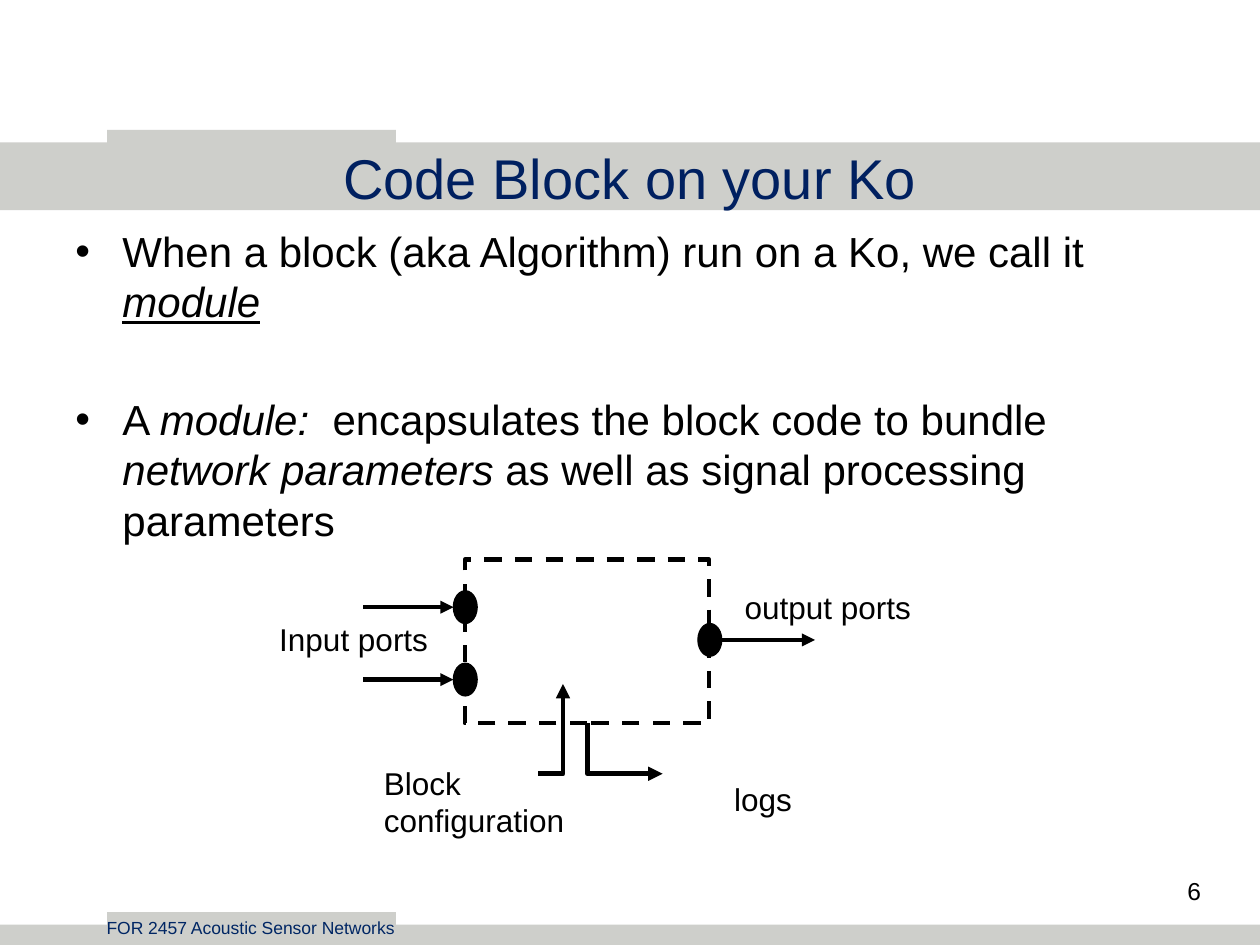
from lxml import etree
from pptx import Presentation
from pptx import util as u
from pptx.dml import color
from pptx.enum import dml, shapes, text
from pptx.oxml import ns


def paint(part, code):
    if hasattr(part, "solid"):
        part.solid()
        part = part.fore_color
    part.rgb = color.RGBColor.from_string(code)


def assign(part, values):
    for name, value in values.items():
        setattr(part, name, value)


def child(parent, tag, **attrs):
    return etree.SubElement(parent, ns.qn(tag), attrs)


class Sketch:
    font = "Arial"
    black = "000000"
    white = "FFFFFF"
    gray = "CECFCB"
    navy = "002060"
    foot = "002664"

    def __init__(self, slide):
        self.slide = slide

    def shape(self, kind, spot, fill, line=None, width=0.75):
        item = self.slide.shapes.add_shape(kind, *map(u.Cm, spot))
        item.shadow.inherit = False
        paint(item.fill, fill)
        if line:
            paint(item.line.color, line)
            item.line.width = u.Pt(width)
        else:
            item.line.fill.background()
        return item

    def band(self, *spot):
        return self.shape(shapes.MSO_SHAPE.RECTANGLE, spot, self.gray)

    def frame(self, *spot):
        item = self.shape(shapes.MSO_SHAPE.RECTANGLE, spot, self.white, self.black, 2.5)
        item.line.dash_style = dml.MSO_LINE.DASH
        tint = item.fill._xPr.find(ns.qn("a:solidFill"))[0]
        child(tint, "a:alpha", val="81000")

    def port(self, left, top):
        self.shape(shapes.MSO_SHAPE.OVAL, (left, top, 0.48, 0.66), self.black, self.black)

    def arrow(self, start, end, bent=False, tip="a:tailEnd"):
        kind = shapes.MSO_CONNECTOR.ELBOW if bent else shapes.MSO_CONNECTOR.STRAIGHT
        item = self.slide.shapes.add_connector(kind, *map(u.Cm, start + end))
        paint(item.line.color, self.black)
        item.line.width = u.Pt(2.75 if bent else 2.5)
        props = item._element.spPr
        if bent:
            props.find(ns.qn("a:prstGeom")).set("prst", "bentConnector2")
        child(props.find(ns.qn("a:ln")), tip, type="triangle")
        child(props, "a:effectLst")

    def style(self, run, size, code, **extra):
        assign(run.font, {"name": self.font, "size": u.Pt(size), **extra})
        paint(run.font.color, code)

    def box(self, spot, wrap=True):
        item = self.slide.shapes.add_textbox(*map(u.Cm, spot))
        assign(item.text_frame, {"word_wrap": wrap, "auto_size": text.MSO_AUTO_SIZE.NONE})
        return item.text_frame

    def label(self, words, spot, size=18, code=black, align=text.PP_ALIGN.LEFT, wrap=False):
        para = self.box(spot, wrap).paragraphs[0]
        assign(para, {"text": words, "alignment": align})
        for run in para.runs:
            self.style(run, size, code)

    def bullets(self, items, spot, gap):
        frame = self.box(spot)
        for order, parts in enumerate(items):
            para = frame.add_paragraph() if order else frame.paragraphs[0]
            para.space_before = u.Pt(gap if order else 0)
            props = para._p.get_or_add_pPr()
            props.set("marL", str(u.Cm(0.95)))
            props.set("indent", str(-u.Cm(0.95)))
            child(props, "a:buFont", typeface=self.font)
            child(props, "a:buChar", char="•")
            for words, extra in parts:
                run = para.add_run()
                run.text = words
                self.style(run, 24, self.black, **extra)


def main():
    deck = Presentation()
    assign(deck, {"slide_width": u.Cm(25.4), "slide_height": u.Cm(19.05)})
    art = Sketch(deck.slides.add_slide(deck.slide_layouts[6]))

    for top, height in ((18.64, 0.43), (2.87, 1.37)):
        art.band(0, top, 25.4, height)
    for top in (2.62, 18.39):
        art.band(2.16, top, 5.82, 0.33)
    art.label("FOR 2457 Acoustic Sensor Networks", (1.9, 18.36, 7.06, 0.69), 10, art.foot)
    art.label("6", (23.55, 17.53, 0.91, 0.86), 14, align=text.PP_ALIGN.RIGHT)

    art.frame(9.37, 11.28, 4.93, 3.3)
    art.label("Code Block on your Ko", (1.27, 2.77, 22.86, 1.42), 32, art.navy,
              text.PP_ALIGN.CENTER, True)
    slant = {"italic": True}
    art.bullets([
        [("When a block (aka Algorithm) run on a Ko, we call it ", {}),
         ("module", {"italic": True, "underline": True})],
        [("A ", {}), ("module: ", slant),
         (" encapsulates the block code to bundle ", {}),
         ("network parameters ", slant),
         ("as well as signal processing parameters", {})],
    ], (1.27, 4.42, 22.86, 5.41), 38.4)

    for top in (11.91, 13.37):
        art.port(9.14, top)
        art.arrow((7.32, top + 0.33), (9.14, top + 0.33))
    art.port(14.07, 12.57)
    art.arrow((14.55, 12.9), (16.43, 12.9))
    art.arrow((13.36, 15.6), (11.84, 14.58), True, "a:headEnd")
    art.arrow((10.85, 15.6), (11.35, 13.79), True)

    for words, spot in (
        ("logs", (14.55, 15.6, 1.68, 1.02)),
        ("Block\vconfiguration", (7.49, 15.27, 4.19, 1.8)),
        ("Input ports", (5.38, 12.37, 3.53, 1.02)),
        ("output ports", (14.76, 11.73, 3.89, 1.02)),
    ):
        art.label(words, spot)

    deck.save("out.pptx")


if __name__ == "__main__":
    main()
